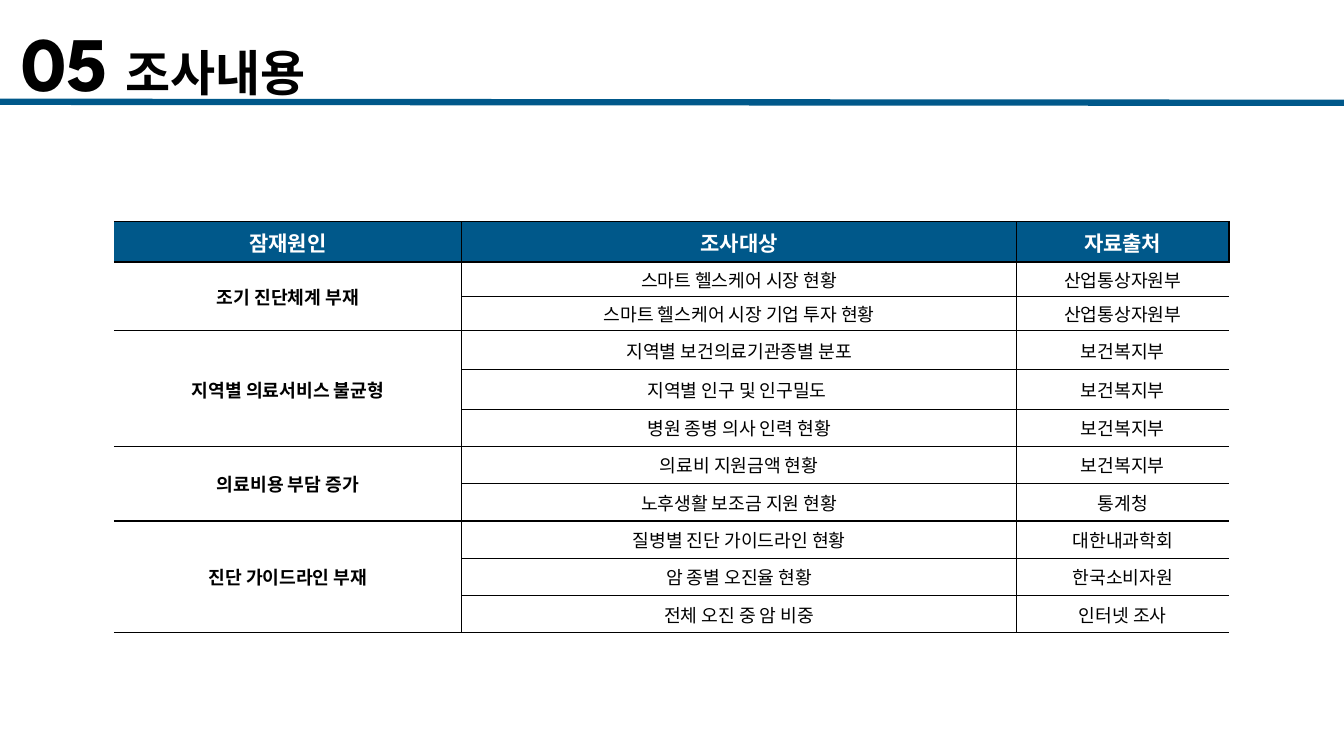
from dataclasses import dataclass

from lxml import etree
from pptx import Presentation
from pptx import util as u
from pptx.dml.color import RGBColor
from pptx.enum import shapes, text
from pptx.oxml.ns import qn

BLUE, BLACK, WHITE = "00588A", "000000", "FFFFFF"
TITLE_FONT, BODY_FONT = "League Spartan", "Noto Sans CJK KR"
HEADINGS = ["잠재원인", "조사대상", "자료출처"]
COLUMN_WIDTHS = [3.45, 5.5, 2.11]
ROW_HEIGHTS = [0.4] + [0.34] * 2 + [0.39] * 2 + [0.37] * 6


@dataclass
class Cause:
    name: str
    surveys: list[tuple[str, str]]


CAUSES = [
    Cause("조기 진단체계 부재", [
        ("스마트 헬스케어 시장 현황", "산업통상자원부"),
        ("스마트 헬스케어 시장 기업 투자 현황", "산업통상자원부"),
    ]),
    Cause("지역별 의료서비스 불균형", [
        ("지역별 보건의료기관종별 분포", "보건복지부"),
        ("지역별 인구 및 인구밀도 ", "보건복지부"),
        ("병원 종병 의사 인력 현황", "보건복지부"),
    ]),
    Cause("의료비용 부담 증가", [
        ("의료비 지원금액 현황", "보건복지부"),
        ("노후생활 보조금 지원 현황", "통계청"),
    ]),
    Cause("진단 가이드라인 부재", [
        ("질병별 진단 가이드라인 현황", "대한내과학회"),
        ("암 종별 오진율 현황", "한국소비자원"),
        ("전체 오진 중 암 비중", "인터넷 조사"),
    ]),
]


def color(value: str) -> RGBColor:
    return RGBColor.from_string(value)


def add_run(paragraph, words: str, size: float, value: str, bold: bool, latin: str) -> None:
    run = paragraph.add_run()
    run.text = words
    run.font.size = u.Pt(size)
    run.font.bold = bold
    run.font.name = latin
    run.font.color.rgb = color(value)
    east_asian = etree.SubElement(run._r.get_or_add_rPr(), qn("a:ea"))
    east_asian.set("typeface", BODY_FONT)


def set_borders(cell, sides: str) -> None:
    """Draw the sides named by the letters L, R, T and B, and clear the others."""
    properties = cell._tc.get_or_add_tcPr()
    for index, side in enumerate("LRTB"):
        line = etree.Element(qn(f"a:ln{side}"), w=str(u.Pt(1)))
        if side in sides:
            fill = etree.SubElement(line, qn("a:solidFill"))
            etree.SubElement(fill, qn("a:srgbClr"), val=BLACK)
        else:
            etree.SubElement(line, qn("a:noFill"))
        properties.insert(index, line)


def fill_cell(cell, words: str, sides: str, size: float = 13, bold: bool = False,
              ink: str = BLACK, ground: str = WHITE) -> None:
    cell.fill.solid()
    cell.fill.fore_color.rgb = color(ground)
    set_borders(cell, sides)
    cell.vertical_anchor = text.MSO_ANCHOR.MIDDLE
    cell.margin_left = cell.margin_right = u.Inches(0.09)
    cell.margin_top = cell.margin_bottom = u.Inches(0.04)
    paragraph = cell.text_frame.paragraphs[0]
    paragraph.alignment = text.PP_ALIGN.CENTER
    if words:
        add_run(paragraph, words, size, ink, bold, BODY_FONT)
    else:
        # An empty cell would otherwise stretch its row to 18 pt text
        etree.SubElement(paragraph._p, qn("a:endParaRPr"), sz=str(size * 100))


def add_title(slide) -> None:
    rule = slide.shapes.add_connector(
        shapes.MSO_CONNECTOR.STRAIGHT,
        u.Inches(0), u.Inches(1.01), u.Inches(13.33), u.Inches(1.02))
    rule.line.color.rgb = color(BLUE)
    rule.line.width = u.Pt(4.5)
    etree.SubElement(rule._element.spPr, qn("a:effectLst"))

    box = slide.shapes.add_textbox(
        u.Inches(0.08), u.Inches(0.2), u.Inches(9.76), u.Inches(0.81))
    frame = box.text_frame
    frame.word_wrap = True
    frame.vertical_anchor = text.MSO_ANCHOR.MIDDLE
    frame.margin_left = frame.margin_right = u.Inches(0.13)
    frame.margin_top = frame.margin_bottom = u.Inches(0.07)
    for words, size in [("05", 55), (" ", 46.7), ("조사내용", 35)]:
        add_run(frame.paragraphs[0], words, size, BLACK, True, TITLE_FONT)


def add_survey_table(slide) -> None:
    table = slide.shapes.add_table(
        len(ROW_HEIGHTS), len(COLUMN_WIDTHS), u.Inches(1.13), u.Inches(2.2),
        u.Inches(sum(COLUMN_WIDTHS)), u.Inches(sum(ROW_HEIGHTS))).table
    table.first_row = table.horz_banding = False
    for column, width in zip(table.columns, COLUMN_WIDTHS):
        column.width = u.Inches(width)
    for row, height in zip(table.rows, ROW_HEIGHTS):
        row.height = u.Inches(height)

    for index, heading in enumerate(HEADINGS):
        sides = "LRTB" if index else "RTB"
        fill_cell(table.cell(0, index), heading, sides, 15, True, WHITE, BLUE)

    first = 1
    for cause in CAUSES:
        count = len(cause.surveys)
        last = first + count - 1
        # Pairs share one merged cell; in triples the name sits in the middle row
        merged = count == 2
        name_row = first if merged else first + 1
        for row, (subject, source) in enumerate(cause.surveys, first):
            sides = "R" + "T" * (row == first) + "B" * (merged or row == last)
            fill_cell(table.cell(row, 0), cause.name if row == name_row else "",
                      sides, bold=True)
            fill_cell(table.cell(row, 1), subject, "LRTB")
            fill_cell(table.cell(row, 2), source, "LTB")
        if merged:
            table.cell(first, 0).merge(table.cell(last, 0))
        first = last + 1


def main() -> None:
    presentation = Presentation()
    presentation.slide_width = u.Inches(13.33)
    presentation.slide_height = u.Inches(7.5)
    slide = presentation.slides.add_slide(presentation.slide_layouts[6])
    add_title(slide)
    add_survey_table(slide)
    presentation.save("out.pptx")


if __name__ == "__main__":
    main()
